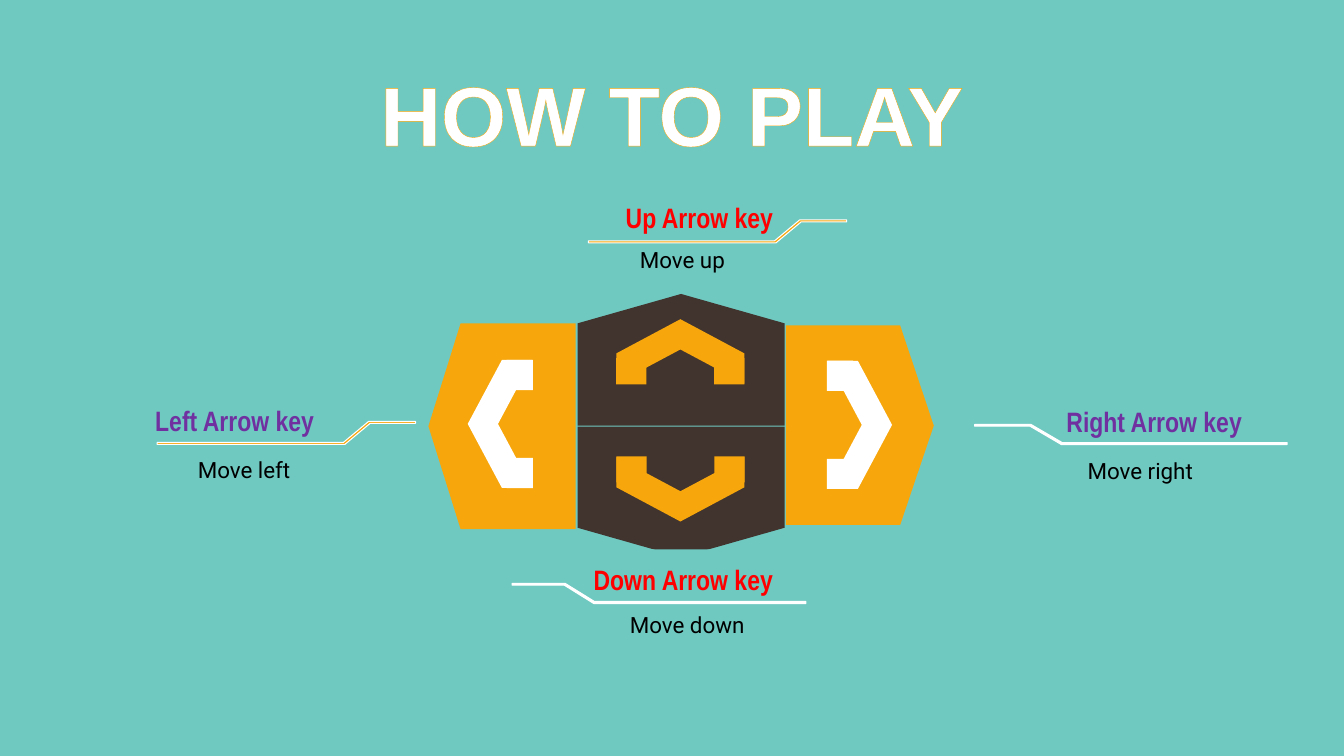
"""Build the HOW TO PLAY slide, which explains the four arrow keys."""
from math import cos, radians, sin

from lxml.etree import SubElement
from pptx import Presentation
from pptx.dml.color import RGBColor as Rgb
from pptx.enum.shapes import MSO_SHAPE as Preset
from pptx.enum.text import MSO_ANCHOR as Anchor, PP_ALIGN as Align
from pptx.oxml.ns import qn
from pptx.util import Pt

COLORS = {
    "teal": "6FC9C1", "dark": "41342F", "orange": "F7A60B", "white": "FFFFFF",
    "red": "FF0000", "purple": "7030A0", "black": "000000",
}
TITLE = {"font": "Arial", "size": 60, "bold": True, "color": "white",
         "align": Align.CENTER, "spacing": 0.9, "outline": "orange"}
KEY = {"font": "Arial Narrow", "size": 20, "bold": True}
MOVE = {"font": "Roboto", "size": 16, "color": "black"}
INSET = 9.36

PANELS = [
    ("dark", [(486.5, 210), (412.6, 231), (412.6, 304), (560.4, 304), (560.4, 231)]),
    ("dark", [(486.5, 398), (560.4, 377), (560.4, 304.8), (412.6, 304.8), (412.6, 377)]),
    ("orange", [(329, 231), (306, 304.5), (329, 378), (411.2, 378), (411.2, 231)]),
    ("orange", [(561.4, 232.5), (561.4, 375), (643, 375), (667, 304), (643, 232.5)]),
]
RISING = [(151, 0), (133, 15), (0, 15), (0, 16.5), (134, 16.5), (152, 1.5),
          (184.5, 1.5), (184.5, 0)]
FALLING = [(0, 0), (0, 1.3), (39.6, 1.3), (62, 14.4), (223.2, 14.4), (223.2, 13),
           (62.6, 13), (40.3, 0)]
LEADERS = [
    (RISING, 112.3, 301, 1, "orange"), (RISING, 420.3, 157, 1, "orange"),
    (FALLING, 696.2, 303.2, 1, "white"), (FALLING, 365.8, 416.7, 0.94, "white"),
]
LABELS = [
    ("Up Arrow key", 385.2, 133.9, 176.4, 38.9, {**KEY, "color": "red", "align": Align.RIGHT}),
    ("Move up", 413.3, 166.3, 113.8, 31.7, {**MOVE, "align": Align.RIGHT}),
    ("Left Arrow key", 101.5, 278.6, 179.3, 37.4, {**KEY, "color": "purple"}),
    ("Move left", 72, 316.8, 144.7, 59, {**MOVE, "align": Align.RIGHT}),
    ("Right Arrow key", 752.4, 279.4, 190, 36.7, {**KEY, "color": "purple"}),
    ("Move right", 767.5, 317.5, 137.5, 35.3, MOVE),
    ("Move down", 440.6, 427, 165.6, 31.7, MOVE),
    ("HOW TO PLAY", 48, 43.2, 864, 63.4, TITLE),
]
ARROWS = [(486, 251, 270, "orange"), (486, 349.5, 90, "orange"),
          (357.1, 302.8, 180, "white"), (614.2, 303.5, 0, "white")]


def write_text(box, text, font, size, color, bold=False, align=Align.LEFT,
               spacing=None, outline=None):
    """Fill a shape with one formatted line of text."""
    frame = box.text_frame
    frame.word_wrap = True
    frame.vertical_anchor = Anchor.TOP
    frame.margin_left = frame.margin_right = Pt(INSET)
    frame.margin_top = frame.margin_bottom = Pt(INSET)
    para = frame.paragraphs[0]
    para.alignment = align
    para.line_spacing = spacing
    span = para.add_run()
    span.text = text
    span.font.name = font
    span.font.size = Pt(size)
    span.font.bold = bold
    span.font.color.rgb = Rgb.from_string(COLORS[color])
    if outline:
        properties = span._r.get_or_add_rPr()
        line = SubElement(properties, qn("a:ln"), w=str(Pt(0.52)))
        fill = SubElement(line, qn("a:solidFill"))
        SubElement(fill, qn("a:srgbClr"), val=COLORS[outline])
        properties.insert(0, line)


class Painter:
    """Draws flat elements on the current slide."""

    def __init__(self, page):
        """Keep the slide and paint its background."""
        self.page = page
        page.background.fill.solid()
        page.background.fill.fore_color.rgb = Rgb.from_string(COLORS["teal"])

    def style(self, shape, fill, line=None):
        """Give a shape a flat fill and an optional thin outline."""
        shape.shadow.inherit = False
        shape.fill.solid()
        shape.fill.fore_color.rgb = Rgb.from_string(COLORS[fill])
        if line:
            shape.line.color.rgb = Rgb.from_string(COLORS[line])
            shape.line.width = Pt(0.75)
        else:
            shape.line.fill.background()
        return shape

    def outline(self, points, fill, line=None):
        """Draw a closed polygon."""
        start, *rest = [(Pt(x), Pt(y)) for x, y in points]
        builder = self.page.shapes.build_freeform(*start)
        builder.add_line_segments(rest, close=True)
        return self.style(builder.convert_to_shape(), fill, line)

    def leader(self, points, left, top, stretch, fill):
        """Draw a bent leader line at a given place."""
        placed = [(left + x * stretch, top + y) for x, y in points]
        return self.outline(placed, fill, "white")

    def preset(self, kind, left, top, width, height, fill):
        """Draw a preset shape."""
        shape = self.page.shapes.add_shape(kind, Pt(left), Pt(top), Pt(width), Pt(height))
        return self.style(shape, fill)

    def label(self, text, left, top, width, height, style):
        """Place a text box."""
        box = self.page.shapes.add_textbox(Pt(left), Pt(top), Pt(width), Pt(height))
        write_text(box, text, **style)

    def arrow(self, center_x, center_y, angle, fill):
        """Draw a chevron with two square ends, turned by an angle."""
        turn = radians(angle)
        parts = [(Preset.CHEVRON, 0, 0, 46, 91.4),
                 (Preset.RECTANGLE, -14.2, -35, 18.7, 21.6),
                 (Preset.RECTANGLE, -14.2, 35, 18.7, 21.6)]
        for kind, across, down, width, height in parts:
            x = center_x + across * cos(turn) - down * sin(turn)
            y = center_y + across * sin(turn) + down * cos(turn)
            shape = self.preset(kind, x - width / 2, y - height / 2, width, height, fill)
            shape.rotation = angle
            if kind == Preset.CHEVRON:
                shape.adjustments[0] = 0.53


def main():
    """Assemble and save the deck."""
    deck = Presentation()
    deck.slide_width, deck.slide_height = Pt(960), Pt(540)
    painter = Painter(deck.slides.add_slide(deck.slide_layouts[6]))
    for fill, points in PANELS:
        painter.outline(points, fill)
    down_box = painter.preset(Preset.RECTANGLE, 414.7, 392.4, 240.5, 36.7, "teal")
    write_text(down_box, "Down Arrow key", **KEY, color="red")
    for leader in LEADERS:
        painter.leader(*leader)
    for label in LABELS:
        painter.label(*label)
    for arrow in ARROWS:
        painter.arrow(*arrow)
    deck.save("out.pptx")


if __name__ == "__main__":
    main()
